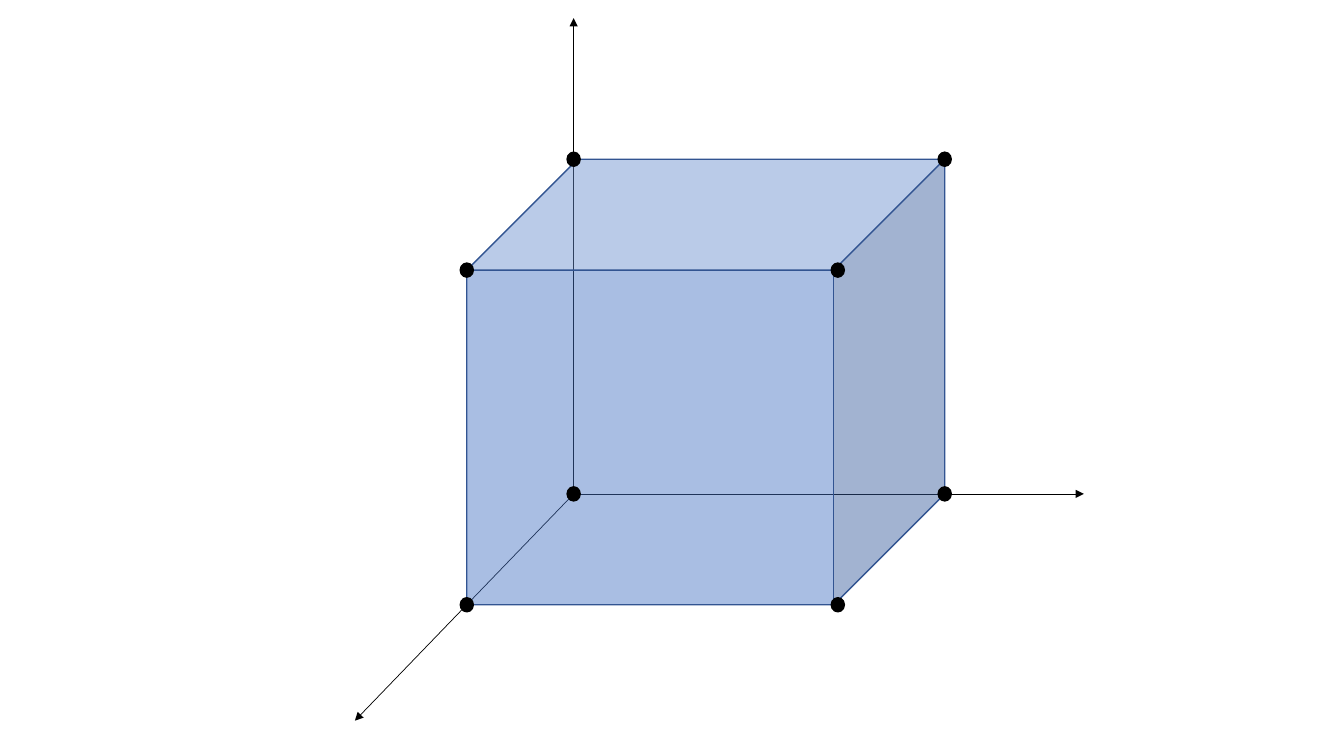
from dataclasses import dataclass
from itertools import product

from lxml import etree
from pptx import Presentation
from pptx import util as u
from pptx.dml.color import RGBColor
from pptx.enum import shapes
from pptx.oxml import ns


@dataclass(frozen=True)
class Theme:
    """Colours, line widths and opacity of the slide."""
    ink: str = "000000"
    face: str = "4472C4"
    edge: str = "325491"
    face_opacity: int = 46
    axis_width: float = 0.5
    edge_width: float = 1


@dataclass(frozen=True)
class Box:
    """A region of the slide in inches."""
    left: float
    top: float
    width: float
    height: float


THEME = Theme()
CUBE_BOX = Box(4.63, 1.58, 4.74, 4.42)
DEPTH_X, DEPTH_Y = 1.06, 1.1
DOT_WIDTH, DOT_HEIGHT = 0.13, 0.14


def set_line(shape, color, width):
    """Give a shape or connector a solid line."""
    shape.line.color.rgb = RGBColor.from_string(color)
    shape.line.width = u.Pt(width)


def add_solid(group, kind, box, fill, line):
    """Add a filled preset shape without a shadow."""
    shape = group.shapes.add_shape(
        kind, *map(u.Inches, (box.left, box.top, box.width, box.height)))
    shape.shadow.inherit = False
    shape.fill.solid()
    shape.fill.fore_color.rgb = RGBColor.from_string(fill)
    set_line(shape, line, THEME.edge_width)
    return shape


def add_axes(group, box):
    """Draw three arrows from the hidden back corner of the cube."""
    x, y = box.left + DEPTH_X, box.top + box.height - DEPTH_Y
    tips = [(x, box.top - 1.4), (box.left - 1.11, y + 2.25), (box.left + 6.12, y)]
    for tip in tips:
        axis = group.shapes.add_connector(
            shapes.MSO_CONNECTOR.STRAIGHT, *map(u.Inches, (x, y, *tip)))
        set_line(axis, THEME.ink, THEME.axis_width)
        etree.SubElement(axis.line._get_or_add_ln(), ns.qn("a:tailEnd"), type="triangle")
        etree.SubElement(axis._element.spPr, ns.qn("a:effectLst"))


def add_cube(group, box):
    """Draw the translucent cube that fills the box."""
    cube = add_solid(group, shapes.MSO_SHAPE.CUBE, box, THEME.face, THEME.edge)
    cube.adjustments[0] = DEPTH_Y / box.height
    color = cube._element.spPr.find(f"{ns.qn('a:solidFill')}/{ns.qn('a:srgbClr')}")
    etree.SubElement(color, ns.qn("a:alpha"), val=str(THEME.face_opacity * 1000))


def add_vertices(group, box):
    """Mark the eight corners of the cube with dots."""
    sides = (0, box.width - DEPTH_X)
    levels = (DEPTH_Y, box.height)
    for depth, side, level in product((0, 1), sides, levels):
        x = box.left + side + depth * DEPTH_X
        y = box.top + level - depth * DEPTH_Y
        dot = Box(x - DOT_WIDTH / 2, y - DOT_HEIGHT / 2, DOT_WIDTH, DOT_HEIGHT)
        add_solid(group, shapes.MSO_SHAPE.OVAL, dot, THEME.ink, THEME.ink)


def add_diagram(slide, box):
    """Group the axes, cube and corner dots around the cube box."""
    group = slide.shapes.add_group_shape()
    for draw in (add_axes, add_cube, add_vertices):
        draw(group, box)


def main():
    """Build and save the slide."""
    presentation = Presentation()
    presentation.slide_width = u.Inches(13.33)
    presentation.slide_height = u.Inches(7.5)
    slide = presentation.slides.add_slide(presentation.slide_layouts[6])
    add_diagram(slide, CUBE_BOX)
    presentation.save("out.pptx")


if __name__ == "__main__":
    main()
